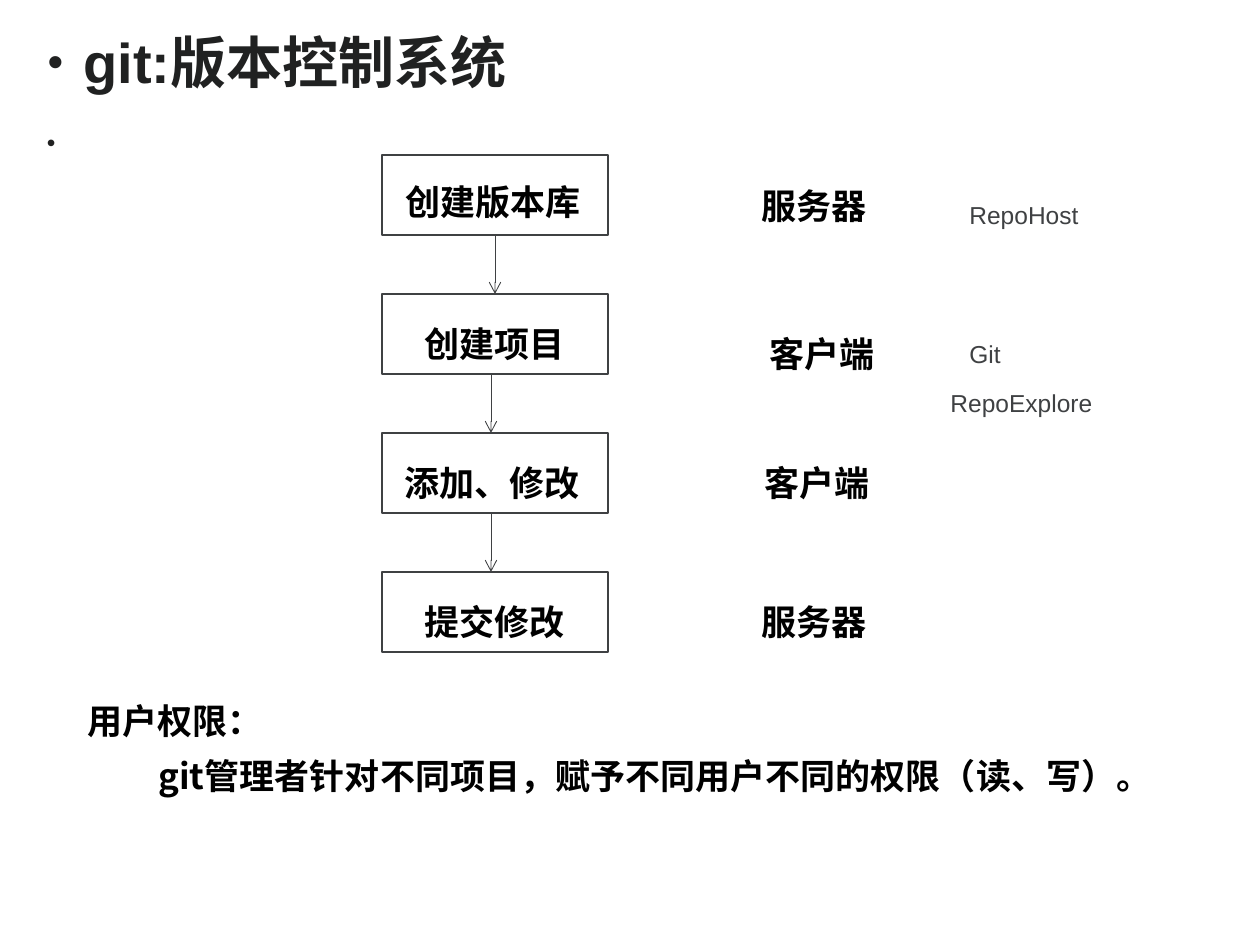
from lxml import etree
from pptx import Presentation
from pptx import util as u
from pptx.dml.color import RGBColor
from pptx.enum import shapes, text
from pptx.oxml.ns import qn

PX = u.Inches(1) // 126
SANS, CJK = "Arial", "Noto Sans CJK SC"
BLACK, GRAY, DARK, WHITE = "000000", "3F4143", "202121", "FFFFFF"

TITLE = "git:版本控制系统"
STEPS = [("创建版本库", 393, 162), ("创建项目", 412, 304),
         ("添加、修改", 392, 443), ("提交修改", 412, 582)]
ROLES = [("服务器", 749, 166), ("客户端", 757, 314),
         ("客户端", 752, 443), ("服务器", 749, 582)]
TOOLS = [("RepoHost", 957, 185), ("Git", 957, 324), ("RepoExplore", 938, 373)]
RIGHTS = ["用户权限：", "git管理者针对不同项目，赋予不同用户不同的权限（读、写）。"]
BOX_LEFT, BOX_TOP, BOX_WIDTH, BOX_HEIGHT, BOX_STEP = 382, 155, 226, 80, 139
ARROW_X = [495, 491, 491]


def color(value):
    return RGBColor.from_string(value)


def px(*values):
    return [value * PX for value in values]


def write(paragraph, words, size, hue, bold, font, spacing):
    run = paragraph.add_run()
    run.text = words
    run.font.size, run.font.bold, run.font.name = u.Pt(size), bold, font
    run.font.color.rgb = color(hue)
    latin = run._r.rPr.find(qn("a:latin"))
    latin.addnext(latin.makeelement(qn("a:ea"), {"typeface": CJK}))
    paragraph.line_spacing = spacing
    paragraph.alignment = text.PP_ALIGN.LEFT


def add_label(slide, lines, left, top, width, height, size=20, hue=BLACK,
              bold=True, font=CJK, spacing=1.3):
    frame = slide.shapes.add_textbox(*px(left, top, width, height)).text_frame
    frame.word_wrap = True
    for index, words in enumerate(lines):
        paragraph = frame.add_paragraph() if index else frame.paragraphs[0]
        write(paragraph, words, size, hue, bold, font, spacing)
    return frame


def add_title(slide):
    title = slide.shapes.title
    title.left, title.top, title.width, title.height = px(35, 15, 1172, 104)
    frame = title.text_frame
    frame.vertical_anchor = text.MSO_ANCHOR.TOP
    paragraph = frame.paragraphs[0]
    write(paragraph, TITLE, 32, DARK, True, SANS, 1.1)
    properties = paragraph._p.get_or_add_pPr()
    properties.set("marL", str(36 * PX))
    properties.set("indent", str(-36 * PX))
    bullet_color = etree.SubElement(properties, qn("a:buClr"))
    etree.SubElement(bullet_color, qn("a:srgbClr"), val=DARK)
    etree.SubElement(properties, qn("a:buSzPct"), val="80000")
    etree.SubElement(properties, qn("a:buFont"), typeface=SANS)
    etree.SubElement(properties, qn("a:buChar"), char="•")


def add_box(slide, top):
    box = slide.shapes.add_shape(shapes.MSO_SHAPE.RECTANGLE,
                                 *px(BOX_LEFT, top, BOX_WIDTH, BOX_HEIGHT))
    box.shadow.inherit = False
    box.fill.solid()
    box.fill.fore_color.rgb = color(WHITE)
    box.line.color.rgb = color(GRAY)
    box.line.width = u.Pt(1)


def add_arrow(slide, x, top, bottom):
    arrow = slide.shapes.add_connector(shapes.MSO_CONNECTOR.STRAIGHT,
                                       *px(x, top, x, bottom))
    arrow.line.color.rgb = color(GRAY)
    arrow.line.width = u.Pt(0.5)
    etree.SubElement(arrow.line._get_or_add_ln(), qn("a:tailEnd"), type="arrow")
    etree.SubElement(arrow._element.spPr, qn("a:effectLst"))


def main():
    presentation = Presentation()
    presentation.slide_width, presentation.slide_height = px(1260, 945)
    slide = presentation.slides.add_slide(presentation.slide_layouts[5])
    add_title(slide)
    dot = add_label(slide, ["•"], 47, 127, 16, 28, 14, DARK, False, SANS, 1)
    dot.margin_left = dot.margin_right = dot.margin_top = dot.margin_bottom = 0

    for index, (words, left, top) in enumerate(STEPS):
        add_box(slide, BOX_TOP + index * BOX_STEP)
        add_label(slide, [words], left, top, 35 * len(words) + 38, 68)
    for index, x in enumerate(ARROW_X):
        box_top = BOX_TOP + index * BOX_STEP
        add_arrow(slide, x, box_top + BOX_HEIGHT, box_top + BOX_STEP)
    for words, left, top in ROLES:
        add_label(slide, [words], left, top, 143, 68)
    for words, left, top in TOOLS:
        add_label(slide, [words], left, top, 14 * len(words) + 40, 52,
                  14, GRAY, False, SANS)

    rights = add_label(slide, RIGHTS, 75, 681, 1120, 122)
    rights.paragraphs[1]._p.get_or_add_pPr().set("indent", str(71 * PX))
    presentation.save("out.pptx")


if __name__ == "__main__":
    main()
